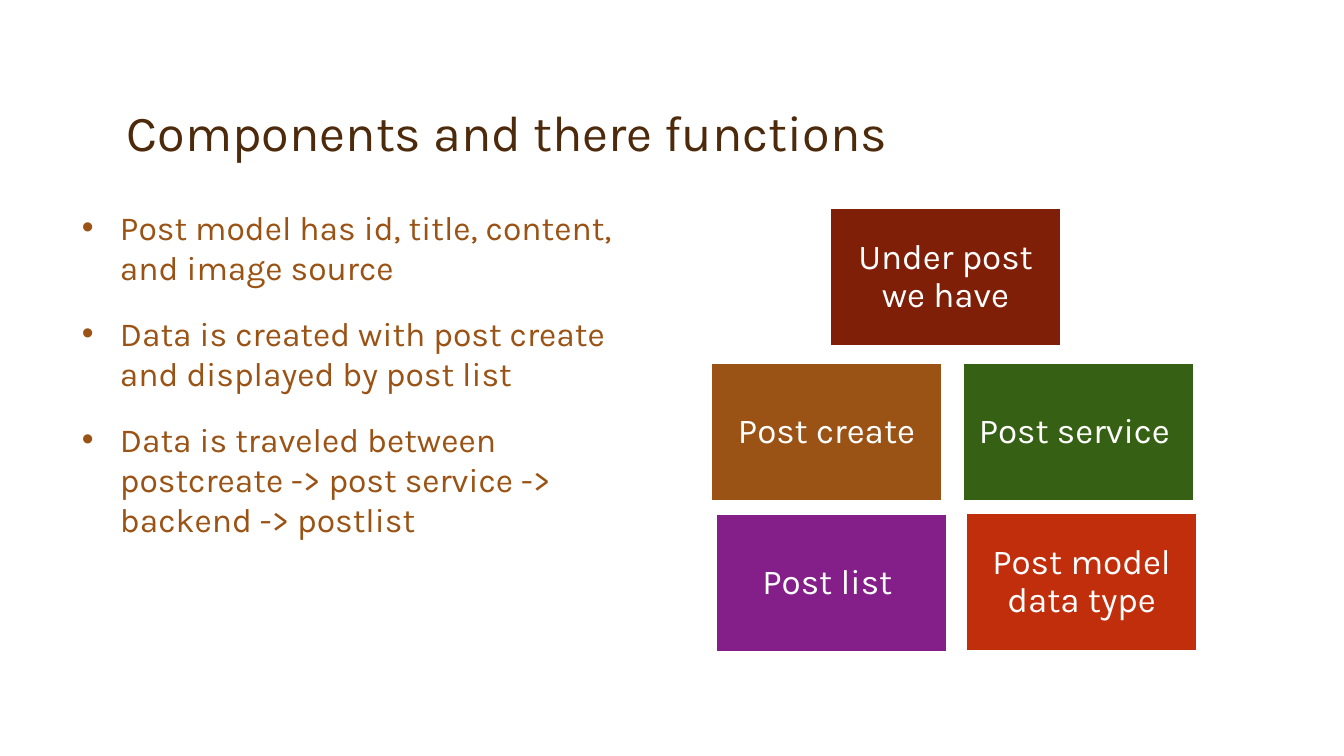
from lxml import etree
from pptx import Presentation
from pptx.dml.color import RGBColor
from pptx.enum.shapes import MSO_SHAPE
from pptx.enum.text import MSO_ANCHOR, PP_ALIGN
from pptx.oxml.ns import qn
from pptx.util import Pt

RECTANGLE = MSO_SHAPE.RECTANGLE
TOP, MIDDLE, BOTTOM = MSO_ANCHOR.TOP, MSO_ANCHOR.MIDDLE, MSO_ANCHOR.BOTTOM
LEFT, CENTER = PP_ALIGN.LEFT, PP_ALIGN.CENTER

FONT = "Karla"
COLORS = {
    "title": "4D2A0B",
    "brown": "9A5315",
    "maroon": "801F08",
    "green": "366013",
    "red": "C02E0C",
    "purple": "841E89",
    "white": "FFFFFF",
}
TITLE = "Components and there functions"
BULLETS = [
    "Post model has id, title, content, and image source",
    "Data is created with post create and displayed by post list",
    "Data is traveled between postcreate -> post service -> backend -> postlist",
]
BLOCKS = [
    ("Under post we have", "maroon", 830, 208),
    ("Post service ", "green", 963, 363),
    ("Post create", "brown", 711, 363),
    ("Post model data type", "red", 966, 513),
    ("Post list ", "purple", 716, 514),
]

PX = 914400 / 100.8
SLIDE_SIZE = (1344, 756)
TITLE_BOX = (117, 33, 1109, 134)
BULLET_BOX = (72, 202, 592, 462)
BLOCK_SIZE = (231, 138)
BLOCK_INSET = 10
BULLET_INDENT = 38


def emu(pixels):
    return round(pixels * PX)


def color(name):
    return RGBColor.from_string(COLORS[name])


def write_text(shape, lines, *, size, ink, anchor=TOP, align=LEFT,
               spacing=1.0, before=0, bullet=False):
    frame = shape.text_frame
    frame.word_wrap = True
    frame.vertical_anchor = anchor
    for index, line in enumerate(lines):
        paragraph = frame.add_paragraph() if index else frame.paragraphs[0]
        paragraph.alignment = align
        paragraph.line_spacing = spacing
        paragraph.space_before = Pt(before)
        run = paragraph.add_run()
        run.text = line
        run.font.name = FONT
        run.font.size = Pt(size)
        run.font.color.rgb = color(ink)
        if bullet:
            properties = paragraph._p.get_or_add_pPr()
            properties.set("marL", str(emu(BULLET_INDENT)))
            properties.set("indent", str(-emu(BULLET_INDENT)))
            etree.SubElement(properties, qn("a:buFont"), typeface="Arial")
            etree.SubElement(properties, qn("a:buChar"), char="•")


def add_block(slide, label, fill, left, top):
    shape = slide.shapes.add_shape(RECTANGLE, *map(emu, (left, top, *BLOCK_SIZE)))
    shape.shadow.inherit = False
    shape.fill.solid()
    shape.fill.fore_color.rgb = color(fill)
    shape.line.color.rgb = color("white")
    shape.line.width = Pt(1)
    frame = shape.text_frame
    frame.margin_left = frame.margin_right = emu(BLOCK_INSET)
    frame.margin_top = frame.margin_bottom = emu(BLOCK_INSET)
    write_text(shape, [label], size=25, ink="white", anchor=MIDDLE,
               align=CENTER, spacing=0.9)


def main():
    presentation = Presentation()
    presentation.slide_width, presentation.slide_height = map(emu, SLIDE_SIZE)
    slide = presentation.slides.add_slide(presentation.slide_layouts[6])
    title = slide.shapes.add_textbox(*map(emu, TITLE_BOX))
    write_text(title, [TITLE], size=36, ink="title", anchor=BOTTOM, spacing=0.9)
    body = slide.shapes.add_textbox(*map(emu, BULLET_BOX))
    write_text(body, BULLETS, size=24, ink="brown", before=18, bullet=True)
    for block in BLOCKS:
        add_block(slide, *block)
    presentation.save("out.pptx")


if __name__ == "__main__":
    main()
